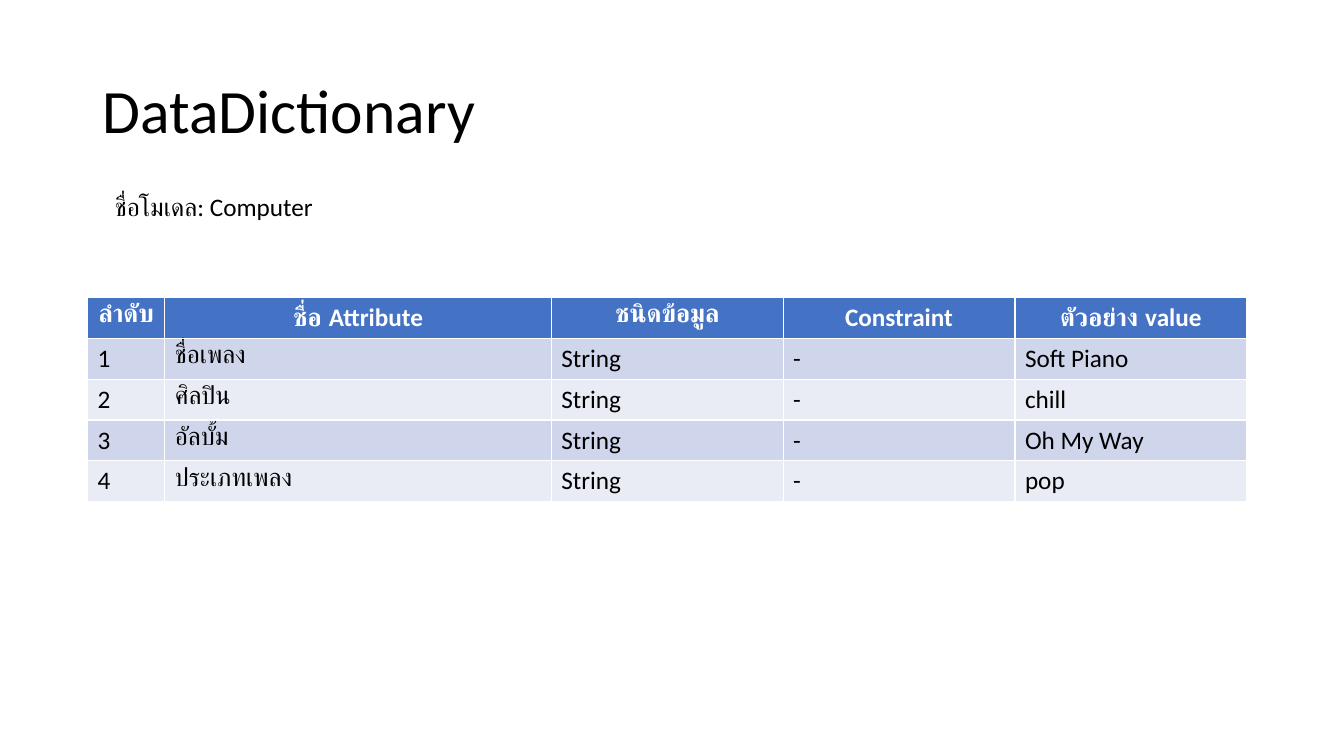
from pptx import Presentation
from pptx.dml.color import RGBColor
from pptx.enum import text
from pptx.util import Pt

FONT = "Calibri"
BLACK = RGBColor(0x00, 0x00, 0x00)
WHITE = RGBColor(0xFF, 0xFF, 0xFF)
HEADER_BLUE = RGBColor(0x44, 0x72, 0xC4)
BANDS = (RGBColor(0xCF, 0xD5, 0xEA), RGBColor(0xE9, 0xEB, 0xF5))

HEADERS = ("ลำดับ", "ชื่อ Attribute", "ชนิดข้อมูล", "Constraint", "ตัวอย่าง value")
ATTRIBUTES = (
    ("ชื่อเพลง", "Soft Piano"),
    ("ศิลปิน", "chill"),
    ("อัลบั้ม", "Oh My Way"),
    ("ประเภทเพลง", "pop"),
)
COLUMN_WIDTHS = (55.2, 276, 165.6, 165.6, 165.6)
ROW_HEIGHT = 29.2


def write(tf, content, size=18, color=BLACK, bold=False,
          align=text.PP_ALIGN.LEFT, line_spacing=None):
    p = tf.paragraphs[0]
    p.alignment = align
    p.line_spacing = line_spacing
    r = p.add_run()
    r.text = content
    r.font.name = FONT
    r.font.size = Pt(size)
    r.font.bold = bold
    r.font.color.rgb = color


def place(sp, left, top, width, height):
    sp.left, sp.top = Pt(left), Pt(top)
    sp.width, sp.height = Pt(width), Pt(height)


def add_title(slide, content):
    sp = slide.shapes.title
    place(sp, 66, 28.75, 828, 104.4)
    tf = sp.text_frame
    tf.auto_size = text.MSO_AUTO_SIZE.NONE
    tf.vertical_anchor = text.MSO_ANCHOR.MIDDLE
    write(tf, content, size=44, line_spacing=0.9)


def add_model_name(slide, content):
    sp = slide.shapes.add_textbox(Pt(75), Pt(133.2), Pt(294.5), Pt(29))
    tf = sp.text_frame
    tf.word_wrap = True
    tf.auto_size = text.MSO_AUTO_SIZE.SHAPE_TO_FIT_TEXT
    write(tf, content)


def fill_row(row, values, fill, **text_format):
    row.height = Pt(ROW_HEIGHT)
    for cell, value in zip(row.cells, values):
        cell.fill.solid()
        cell.fill.fore_color.rgb = fill
        write(cell.text_frame, value, **text_format)


def add_dictionary_table(slide):
    row_count = len(ATTRIBUTES) + 1
    frame = slide.shapes.add_table(
        row_count, len(HEADERS), Pt(62.6), Pt(212.4),
        Pt(sum(COLUMN_WIDTHS)), Pt(ROW_HEIGHT * row_count))
    table = frame.table
    for column, width in zip(table.columns, COLUMN_WIDTHS):
        column.width = Pt(width)
    fill_row(table.rows[0], HEADERS, HEADER_BLUE, color=WHITE, bold=True,
             align=text.PP_ALIGN.CENTER)
    for i, (name, example) in enumerate(ATTRIBUTES):
        values = (str(i + 1), name, "String", "-", example)
        fill_row(table.rows[i + 1], values, BANDS[i % 2])


def main():
    prs = Presentation()
    prs.slide_width, prs.slide_height = Pt(960), Pt(540)
    slide = prs.slides.add_slide(prs.slide_layouts.get_by_name("Title Only"))
    add_title(slide, "DataDictionary")
    add_dictionary_table(slide)
    add_model_name(slide, "ชื่อโมเดล: Computer")
    prs.save("out.pptx")


if __name__ == "__main__":
    main()
